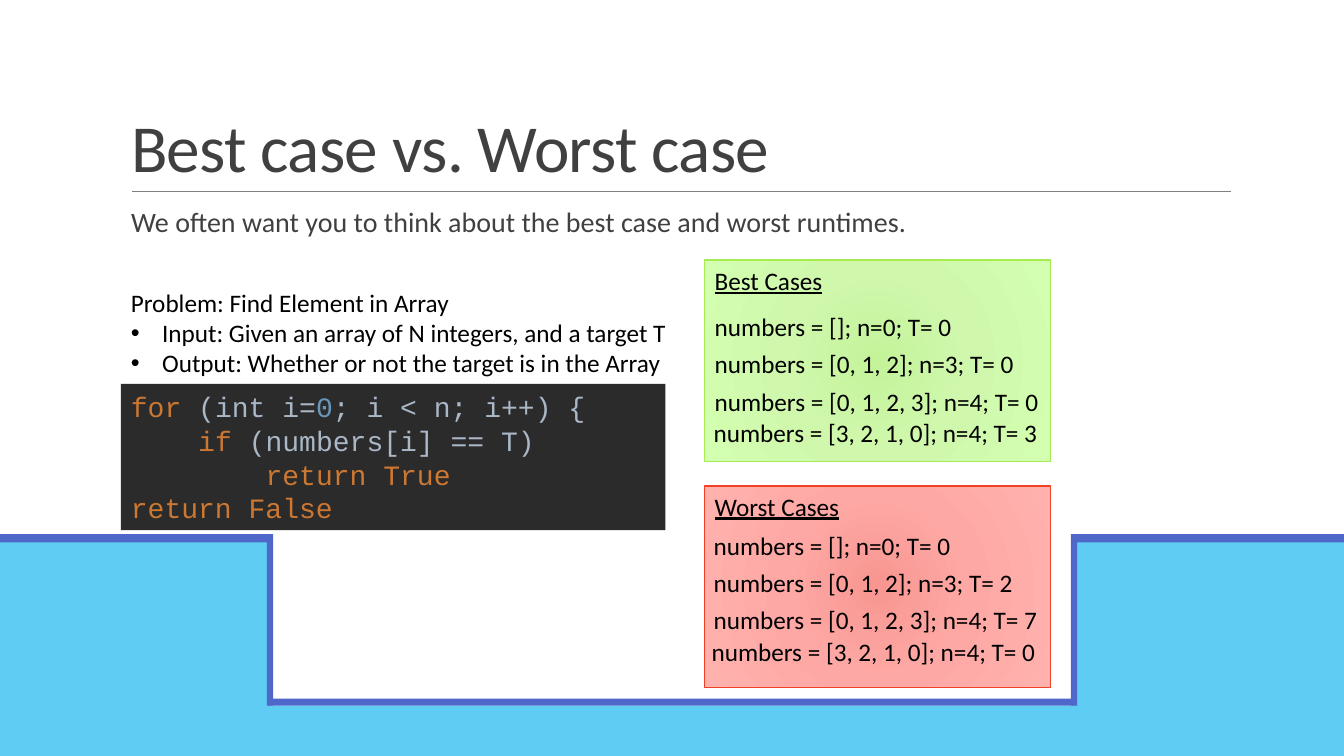
from pptx import Presentation
from pptx import util as u
from pptx.dml.color import RGBColor
from pptx.enum import shapes, text
from pptx.oxml import parse_xml
from pptx.oxml.ns import nsdecls, qn

W, H = u.Inches(13.33), u.Inches(7.5)
SKY, BLUE, INK = "5ECCF3", "4E67C8", "404040"
KEYWORD, PLAIN, NUMBER = "CC7832", "A9B7C6", "6897BB"
SHAPE = shapes.MSO_SHAPE
ANCHOR = text.MSO_ANCHOR
LEFT, MARGIN = 9, 0.1

CODE = [
    [("for ", KEYWORD), ("(int i=", PLAIN), ("0", NUMBER), ("; i < n; i++) {", PLAIN)],
    [("    ", PLAIN), ("if ", KEYWORD), ("(numbers[i] == T)", PLAIN)],
    [("        ", PLAIN), ("return True", KEYWORD)],
    [("return False", KEYWORD)],
]
ROW_OFFSETS = [0, 4.93, 9.87, 14]
BEST = [("numbers = []; n=0; T= 0", 19.36),
        ("numbers = [0, 1, 2]; n=3; T= 0", 24.53),
        ("numbers = [0, 1, 2, 3]; n=4; T= 0", 25.96),
        ("numbers = [3, 2, 1, 0]; n=4; T= 3", 25.96)]
WORST = [("numbers = []; n=0; T= 0", 19.36),
         ("numbers = [0, 1, 2]; n=3; T= 2", 24.08),
         ("numbers = [0, 1, 2, 3]; n=4; T= 7", 25.96),
         ("numbers = [3, 2, 1, 0]; n=4; T= 0", 25.96)]


def color(value):
    return RGBColor.from_string(value)


def box(x, y, w, h):
    """Turn percentages of the slide into lengths."""
    return [round(size * share / 100) for size, share in zip((W, H, W, H), (x, y, w, h))]


def write(tf, lines, size=18, font="Calibri", fill="000000", underline=False,
          anchor=ANCHOR.TOP, wrap=True, spacing=None, before=0, after=0,
          tracking=None, indent=0, bullets_from=None):
    """Fill a text frame; a line is a string or a list of (string, colour) runs."""
    tf.auto_size = text.MSO_AUTO_SIZE.NONE
    tf.word_wrap = wrap
    tf.vertical_anchor = anchor
    for i, line in enumerate(lines):
        p = tf.paragraphs[0] if i == 0 else tf.add_paragraph()
        p.alignment = text.PP_ALIGN.LEFT
        p.line_spacing = spacing
        p.space_before, p.space_after = u.Pt(before), u.Pt(after)
        bullet = bullets_from is not None and i >= bullets_from
        set_bullet(p, 0.31 if bullet else indent, bullet)
        for words, hue in [(line, fill)] if isinstance(line, str) else line:
            r = p.add_run()
            r.text = words
            r.font.size, r.font.name = u.Pt(size), font
            r.font.color.rgb = color(hue)
            if underline:
                r.font.underline = True
            if tracking:
                r.font._element.set("spc", str(round(tracking * 100)))


def set_bullet(p, indent, bullet):
    pPr = p._p.get_or_add_pPr()
    pPr.set("marL", str(u.Inches(indent)))
    pPr.set("indent", str(-u.Inches(indent) if bullet else 0))
    tag = 'buChar %s char="•"' if bullet else "buNone %s"
    if bullet:
        pPr.append(parse_xml('<a:buFont %s typeface="Arial"/>' % nsdecls("a")))
    pPr.append(parse_xml("<a:%s/>" % (tag % nsdecls("a"))))


def add_block(s, kind, place, fill=None, line=None, width=1):
    sp = s.shapes.add_shape(kind, *box(*place))
    sp.shadow.inherit = False
    if fill:
        sp.fill.solid()
        sp.fill.fore_color.rgb = color(fill)
    if line:
        sp.line.color.rgb = color(line)
        sp.line.width = u.Pt(width)
    else:
        sp.line.fill.background()
    return sp


def add_text(s, place, lines, **style):
    tb = s.shapes.add_textbox(*box(*place))
    write(tb.text_frame, lines, **style)


def fill_placeholder(sp, place, lines, **style):
    sp.left, sp.top, sp.width, sp.height = box(*place)
    write(sp.text_frame, lines, **style)


def radial_fill(sp, hues):
    sp.fill.gradient()
    stops = "".join('<a:gs pos="%d"><a:srgbClr val="%s"/></a:gs>' % (pos * 1000, hue)
                    for pos, hue in zip((0, 45, 100), hues))
    sides = " ".join('%s="100000"' % side for side in "ltrb")
    spPr = sp._element.spPr
    spPr.replace(spPr.find(qn("a:gradFill")), parse_xml(
        '<a:gradFill %s rotWithShape="1"><a:gsLst>%s</a:gsLst>'
        '<a:path path="circle"><a:fillToRect %s/></a:path></a:gradFill>'
        % (nsdecls("a"), stops, sides)))


def add_rule(s, x1, x2, y):
    x, top, end, _ = box(x1, y, x2, 0)
    c = s.shapes.add_connector(shapes.MSO_CONNECTOR.STRAIGHT, x, top, end, top)
    c.line.color.rgb = color("808080")
    c.line.width = u.Pt(0.5)
    c._element.spPr.append(parse_xml("<a:effectLst %s/>" % nsdecls("a")))


def make_l_shape(sp, arm, stem):
    """Give a shape the L preset, with arm and stem as shares of its short side."""
    spPr = sp._element.spPr
    guides = "".join('<a:gd name="adj%d" fmla="val %d"/>' % (i, round(share * 100000))
                     for i, share in enumerate((arm, stem), 1))
    spPr.replace(spPr.find(qn("a:prstGeom")), parse_xml(
        '<a:prstGeom %s prst="corner"><a:avLst>%s</a:avLst></a:prstGeom>'
        % (nsdecls("a"), guides)))


def add_corner(s, right):
    """Draw a blue block in a bottom corner, edged by a dark L."""
    add_block(s, SHAPE.RECTANGLE, (79.97 if right else -0.15, 71.87, 20.03, 28.13),
              SKY, SKY, 1.25)
    edge = add_block(s, SHAPE.RECTANGLE, (79.67 if right else 0, 70.67, 20.33, 22.67), BLUE)
    make_l_shape(edge, 0.048, 0.037)
    edge.rotation = 180
    if right:
        edge._element.spPr.find(qn("a:xfrm")).set("flipH", "1")


def add_panel(s, y, heading, hues, line):
    sp = add_block(s, SHAPE.FLOWCHART_PROCESS, (52.44, y, 25.73, 26.67), line=line)
    radial_fill(sp, hues)
    write(sp.text_frame, [heading], underline=True)


def add_cases(s, x, last_x, y, cases):
    for i, ((words, width), offset) in enumerate(zip(cases, ROW_OFFSETS)):
        left = last_x if i == len(cases) - 1 else x
        add_text(s, (left, y + offset, width, 5.33), [words], wrap=False)


def main():
    prs = Presentation()
    prs.slide_width, prs.slide_height = W, H
    s = prs.slides.add_slide(prs.slide_layouts[1])
    title, body = s.placeholders

    add_block(s, SHAPE.RECTANGLE, (0, 93.33, 100, 6.67), SKY)
    add_block(s, SHAPE.RECTANGLE, (0, 92.4, 100, 0.93), BLUE)
    add_rule(s, 9.83, 91.6, 25.33)
    for right in (True, False):
        add_corner(s, right)

    fill_placeholder(title, (LEFT, 4.13, 82.5, 21.2), ["Best case vs. Worst case"],
                     size=48, fill=INK, anchor=ANCHOR.BOTTOM, spacing=0.85, tracking=-0.5)
    fill_placeholder(body, (LEFT, 26.93, 82.5, 10.4),
                     ["We often want you to think about the best case and worst runtimes."],
                     size=20, fill=INK, spacing=0.9, before=12, after=2, indent=MARGIN)
    body.text_frame.margin_left = body.text_frame.margin_right = 0

    add_text(s, (LEFT, 37.33, 41.86, 13.47),
             ["Problem: Find Element in Array",
              "Input: Given an array of N integers, and a target T",
              "Output: Whether or not the target is in the Array"],
             wrap=False, bullets_from=1)
    code = add_block(s, SHAPE.RECTANGLE, (LEFT, 50.8, 40.5, 19.33), "2B2B2B")
    write(code.text_frame, CODE, size=20, font="Courier New", anchor=ANCHOR.MIDDLE)

    add_panel(s, 34.4, "Best Cases", ("C4F39A", "CFF8AC", "D3FFB0"), "A7EA52")
    add_panel(s, 64.27, "Worst Cases", ("F99691", "FDA8A4", "FFB1AE"), "F14124")
    add_cases(s, 52.44, 52.36, 40.53, BEST)
    add_cases(s, 52.36, 52.21, 69.47, WORST)
    prs.save("out.pptx")


if __name__ == "__main__":
    main()
